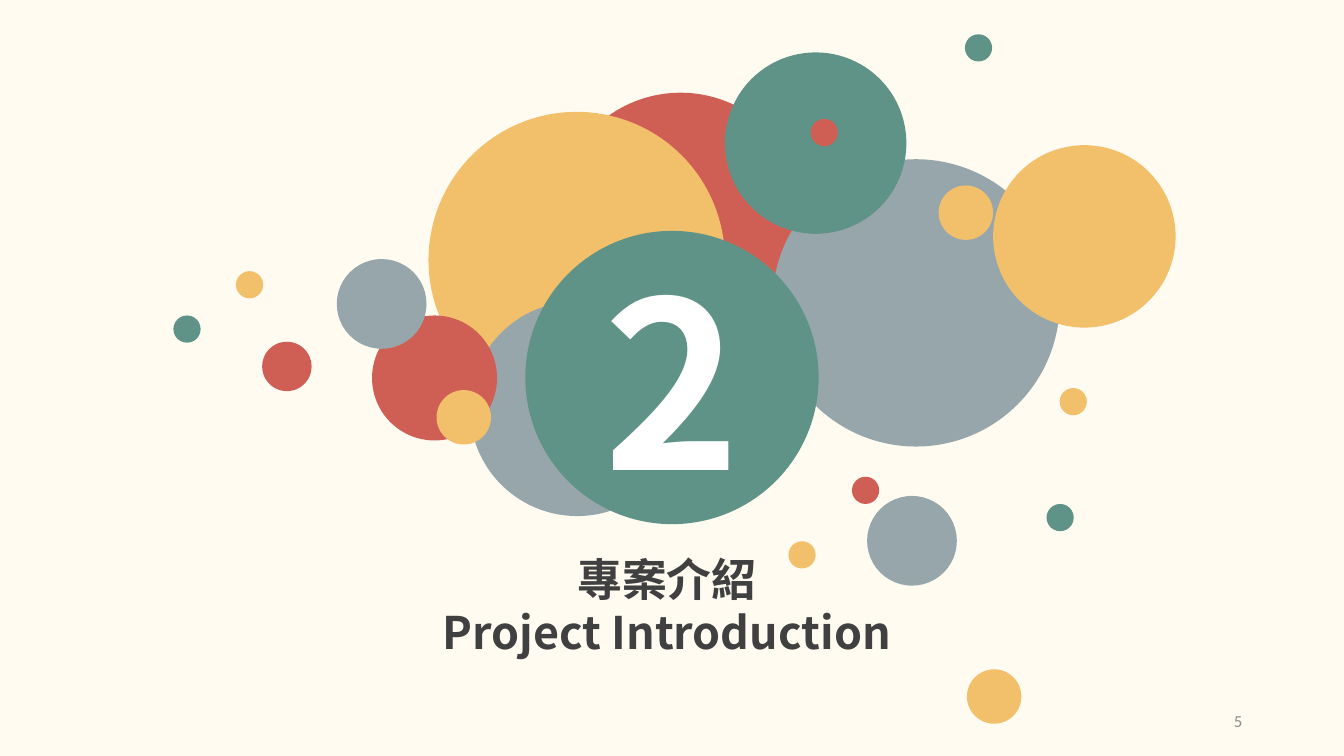
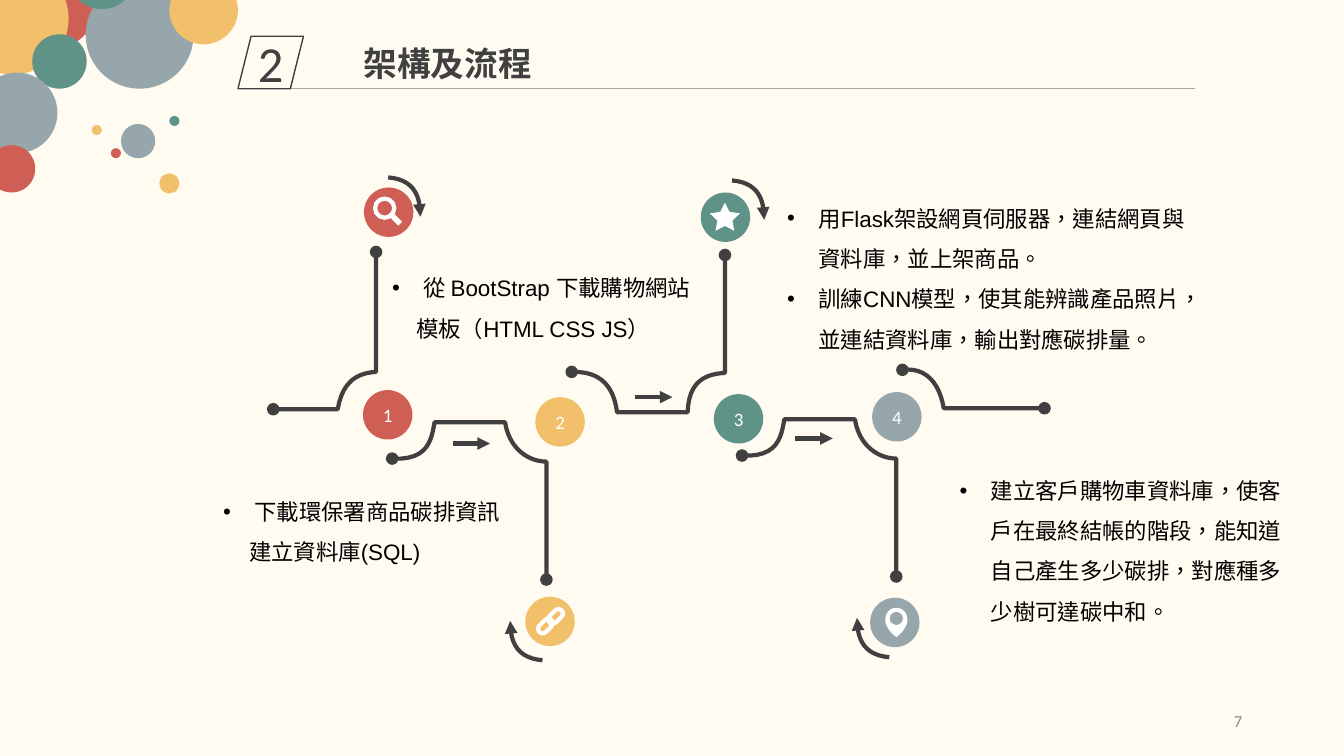
from dataclasses import dataclass

from lxml.etree import SubElement
from pptx import Presentation
from pptx.dml.color import RGBColor
from pptx.enum.shapes import MSO_CONNECTOR as Connector, MSO_SHAPE as Shape
from pptx.enum.text import MSO_ANCHOR as Anchor, PP_ALIGN as Align
from pptx.oxml.ns import qn
from pptx.util import Inches, Pt


@dataclass(frozen=True)
class Theme:
    cream: str = "FFFBF0"
    red: str = "CF5F55"
    yellow: str = "F2C06B"
    slate: str = "97A6AB"
    green: str = "5F9387"
    ink: str = "404040"
    rule: str = "A6A6A6"
    page: str = "8C8C8C"
    white: str = "FFFFFF"
    black: str = "000000"
    heading_font: str = "Noto Sans CJK SC"
    body_font: str = "Arial"
    number_font: str = "Calibri"
    chapter_size: float = 166
    cover_size: float = 32
    section_size: float = 36
    title_size: float = 24
    body_size: float = 16
    step_size: float = 13.5
    page_size: float = 12
    stroke: float = 3


T = Theme()
R, Y, S, G = T.red, T.yellow, T.slate, T.green
ICON = 0.49

# Circles: left, top, diameter, colour
COVER_CIRCLES = [
    (5.52, 0.92, 2.46, R), (4.25, 1.11, 2.94, Y), (4.66, 2.99, 2.13, S),
    (7.66, 1.58, 2.85, S), (7.19, 0.52, 1.8, G), (3.69, 3.13, 1.24, R),
    (8.6, 4.92, 0.89, S), (8.45, 4.73, 0.27, R), (7.82, 5.37, 0.27, Y),
    (10.38, 5, 0.27, G), (9.59, 6.64, 0.54, Y), (9.85, 1.44, 1.81, Y),
    (3.34, 2.57, 0.89, S), (2.6, 3.39, 0.49, R), (2.34, 2.69, 0.27, Y),
    (1.72, 3.13, 0.27, G), (4.33, 3.87, 0.54, Y), (8.04, 1.18, 0.27, R),
    (10.51, 3.85, 0.27, Y), (9.57, 0.34, 0.27, G), (9.31, 1.84, 0.54, Y),
]
CORNER_CIRCLES = [
    (0.04, -0.44, 0.93, R), (-0.43, -0.37, 1.11, Y), (0.32, 0.34, 0.54, G),
    (-0.23, 0.72, 0.8, S), (0.85, -0.19, 1.07, S), (0.67, -0.59, 0.68, G),
    (-0.12, 1.44, 0.47, R), (1.2, 1.23, 0.34, S), (1.1, 1.47, 0.1, R),
    (0.91, 1.24, 0.1, Y), (1.68, 1.15, 0.1, G), (1.58, 1.72, 0.2, Y),
    (1.68, -0.24, 0.68, Y),
]

# Paths: pairs are line ends, sixes are Bezier segments
DROP = [(0, 0.36), (0.36, 0.38, 0.39, 0.17, 0.42, 0), (1.12, 0),
        (1.16, 0.26, 1.35, 0.39, 1.53, 0.39), (1.53, 1.56)]
ROUTES = [
    (2.71, 2.5, [(0, 1.56), (0.64, 1.56), (0.69, 1.26, 0.86, 1.2, 1.02, 1.19),
                 (1.02, 0)]),
    (3.89, 4.19, DROP),
    (5.67, 2.53, [(0, 1.16), (0.31, 1.15, 0.42, 1.33, 0.45, 1.56),
                  (1.15, 1.56), (1.16, 1.25, 1.33, 1.18, 1.52, 1.17),
                  (1.52, 0)]),
    (7.36, 4.16, DROP),
    (8.95, 3.67, [(0, 0), (0.24, -0.03, 0.37, 0.14, 0.41, 0.38),
                  (1.41, 0.38)]),
]
TURN_DOWN = [(0, 0), (0.23, 0.02, 0.32, 0.15, 0.32, 0.39)]
TURN_UP = [(0.32, 0.39), (0.09, 0.37, 0, 0.24, 0, 0)]
TURNS = [(3.85, 1.76, TURN_DOWN), (7.26, 1.79, TURN_DOWN),
         (5.06, 6.16, TURN_UP), (8.5, 6.13, TURN_UP)]
PIN = [(0.11, 0.29), (0.04, 0.24, 0, 0.17, 0, 0.12),
       (0, 0.05, 0.05, 0, 0.11, 0), (0.17, 0, 0.22, 0.05, 0.22, 0.12),
       (0.22, 0.17, 0.18, 0.24, 0.11, 0.29)]


# Formatting helpers
def colour(code):
    return RGBColor.from_string(code)


def apply(target, values):
    for key, value in values.items():
        setattr(target, key, value)


def paint(shape, fill=None, line=None, width=1):
    shape.shadow.inherit = False
    if fill:
        shape.fill.solid()
        shape.fill.fore_color.rgb = colour(fill)
    else:
        shape.fill.background()
    if line:
        shape.line.color.rgb = colour(line)
        shape.line.width = Pt(width)
    else:
        shape.line.fill.background()
    return shape


def line_ends(shape, head=None, tail=None):
    outline = shape.line._get_or_add_ln()
    for tag, kind in (("a:headEnd", head), ("a:tailEnd", tail)):
        if kind:
            SubElement(outline, qn(tag), type=kind)


def add_preset(slide, kind, x, y, w, h, **look):
    box = [Inches(v) for v in (x, y, w, h)]
    return paint(slide.shapes.add_shape(kind, *box), **look)


def add_circle(slide, x, y, size, fill=None, **look):
    return add_preset(slide, Shape.OVAL, x, y, size, size, fill=fill, **look)


def add_line(slide, start, end, ink, width, tail=None):
    points = [Inches(v) for v in (*start, *end)]
    line = slide.shapes.add_connector(Connector.STRAIGHT, *points)
    line.line.color.rgb = colour(ink)
    line.line.width = Pt(width)
    line_ends(line, tail=tail)
    SubElement(line._element.spPr, qn("a:effectLst"))


def add_path(slide, x, y, path, steps=12, **look):
    points = [path[0]]
    for segment in path[1:]:
        if len(segment) == 2:
            points.append(segment)
            continue
        curve = (points[-1], segment[:2], segment[2:4], segment[4:])
        for step in range(1, steps + 1):
            t = step / steps
            weights = ((1 - t) ** 3, 3 * t * (1 - t) ** 2,
                       3 * t * t * (1 - t), t ** 3)
            points.append(tuple(sum(k * p[axis] for k, p in zip(weights, curve))
                                for axis in (0, 1)))
    spots = [(Inches(x + px), Inches(y + py)) for px, py in points]
    builder = slide.shapes.build_freeform(*spots[0], scale=1.0)
    builder.add_line_segments(spots[1:], close=path[0] == path[-1][-2:])
    return paint(builder.convert_to_shape(), **look)


def write(shape, lines, font, size, ink, bold=False, align=Align.LEFT,
          anchor=Anchor.TOP, wrap=True, spacing=None):
    """Each line is (text, options); options are align, indent and bullet."""
    frame = shape.text_frame
    apply(frame, {"word_wrap": wrap, "vertical_anchor": anchor})
    if not wrap:
        apply(frame, dict.fromkeys(("margin_left", "margin_right",
                                    "margin_top", "margin_bottom"), 0))
    for index, (text, options) in enumerate(lines):
        paragraph = frame.add_paragraph() if index else frame.paragraphs[0]
        apply(paragraph, {"alignment": options.get("align", align),
                          "line_spacing": spacing})
        props = paragraph._p.get_or_add_pPr()
        indent = Inches(options.get("indent", 0))
        if options.get("bullet"):
            props.set("marL", str(indent))
            props.set("indent", str(-indent))
            SubElement(props, qn("a:buFont"), typeface=T.body_font)
            SubElement(props, qn("a:buChar"), char="•")
        elif indent:
            props.set("marL", str(indent))
            props.set("indent", "0")
        run = paragraph.add_run()
        run.text = text
        apply(run.font, {"name": font, "size": Pt(size), "bold": bold})
        run.font.color.rgb = colour(ink)
        run_props = run._r.get_or_add_rPr()
        run_props.set("lang", "zh-TW")
        if font == T.heading_font:
            SubElement(run_props, qn("a:ea"), typeface=font)


def add_text(slide, box, lines, *style, **options):
    label = slide.shapes.add_textbox(*[Inches(v) for v in box])
    write(label, lines, *style, **options)


def write_number(shape, number, font, size, ink, bold=False):
    write(shape, [(number, {})], font, size, ink, bold, Align.CENTER,
          Anchor.MIDDLE, wrap=False)


# Shared slide parts
def new_slide(deck, page):
    slide = deck.slides.add_slide(deck.slide_layouts[6])
    slide.background.fill.solid()
    slide.background.fill.fore_color.rgb = colour(T.cream)
    add_text(slide, (9.42, 6.95, 3, 0.4), [(page, {})], T.number_font,
             T.page_size, T.page, align=Align.RIGHT, anchor=Anchor.MIDDLE)
    return slide


def add_circles(slide, circles):
    for circle in circles:
        add_circle(slide, *circle)


def add_title_band(slide, x, y, number, title):
    add_line(slide, (x + 0.48, y + 0.52), (x + 9.49, y + 0.52), T.rule, 0.5)
    badge = add_preset(slide, Shape.PARALLELOGRAM, x, y, 0.65, 0.52, line=T.ink)
    write_number(badge, number, T.number_font, T.section_size, T.ink)
    add_text(slide, (x + 1.15, y + 0.02, 5.13, 0.5), [(title, {})],
             T.heading_font, T.title_size, T.ink, bold=True)


# Icons, each inside its disc at x, y
def add_search(slide, x, y):
    add_circle(slide, x + 0.11, y + 0.11, 0.19, line=T.white, width=T.stroke)
    add_line(slide, (x + 0.27, y + 0.27), (x + 0.36, y + 0.36), T.white, 4)


def add_chain(slide, x, y):
    for dx, dy in ((0.115, 0.255), (0.215, 0.16)):
        loop = add_preset(slide, Shape.ROUNDED_RECTANGLE, x + dx, y + dy - 0.01,
                          0.17, 0.09, line=T.white, width=T.stroke)
        loop.adjustments[0] = 0.5
        loop.rotation = -45


def add_star(slide, x, y):
    add_preset(slide, Shape.STAR_5_POINT, x + 0.09, y + 0.1, 0.3, 0.28,
               fill=T.white).adjustments[0] = 0.25


def add_pin(slide, x, y):
    add_path(slide, x + 0.15, y + 0.1, PIN, fill=T.white)
    add_circle(slide, x + 0.195, y + 0.14, 0.13, S)


# Slide types
def add_chapter(deck, page, number, titles):
    slide = new_slide(deck, page)
    add_circles(slide, COVER_CIRCLES)
    disc = add_circle(slide, 5.21, 2.29, 2.91, G)
    write_number(disc, number, T.heading_font, T.chapter_size, T.white, True)
    add_text(slide, (3.6, 5.42, 6.03, 1.18), [(title, {}) for title in titles],
             T.heading_font, T.cover_size, T.ink, bold=True, align=Align.CENTER)


def add_flow(deck, page, number, title, steps, notes):
    slide = new_slide(deck, page)
    stroke = {"line": T.ink, "width": T.stroke}
    # Tracks and arrows
    for route in ROUTES:
        line_ends(add_path(slide, *route, **stroke), "oval", "oval")
    for turn in TURNS:
        line_ends(add_path(slide, *turn, **stroke), tail="triangle")
    for x, y in ((4.49, 4.4), (6.3, 3.94), (7.89, 4.35)):
        add_line(slide, (x, y), (x + 0.37, y), T.ink, T.stroke, "triangle")
    # Numbered steps with their icons
    for index, (fill, step_at, icon_at, add_icon) in enumerate(steps, 1):
        disc = add_circle(slide, *step_at, ICON, fill)
        write_number(disc, str(index), T.number_font, T.step_size, T.white)
        add_circle(slide, *icon_at, ICON, fill)
        add_icon(slide, *icon_at)
    for box, lines in notes:
        add_text(slide, box, lines, T.body_font, T.body_size, T.black,
                 spacing=1.5)
    add_circles(slide, CORNER_CIRCLES)
    add_title_band(slide, 2.36, 0.36, number, title)


def main():
    deck = Presentation()
    deck.slide_width, deck.slide_height = Inches(13.33), Inches(7.5)
    add_chapter(deck, "5", "2", ["專案介紹", "Project Introduction"])
    bullet = {"bullet": True, "indent": 0.31}
    steps = [
        (R, (3.6, 3.87), (3.61, 1.86), add_search),
        (Y, (5.31, 3.94), (5.21, 5.92), add_chain),
        (G, (7.08, 3.91), (6.95, 1.91), add_star),
        (S, (8.65, 3.89), (8.63, 5.93), add_pin),
    ]
    notes = [
        ((3.79, 2.54, 3.55, 0.86), [
            ("從 BootStrap 下載購物網站", bullet),
            ("模板（HTML CSS JS）", {"indent": 0.24})]),
        ((1.58, 4.76, 3.48, 0.86), [
            ("下載環保署商品碳排資訊", {**bullet, "align": Align.RIGHT}),
            ("建立資料庫(SQL)", {"align": Align.CENTER})]),
        ((7.71, 1.85, 4.33, 2.19), [
            ("用Flask架設網頁伺服器，連結網頁與資料庫，並上架商品。", bullet),
            ("訓練CNN模型，使其能辨識產品照片，並連結資料庫，輸出對應碳排量。",
             bullet)]),
        ((9.42, 4.55, 3.45, 1.67), [
            ("建立客戶購物車資料庫，使客戶在最終結帳的階段，能知道自己產生多少碳排，"
             "對應種多少樹可達碳中和。", bullet)]),
    ]
    add_flow(deck, "7", "2", "架構及流程", steps, notes)
    deck.save("out.pptx")


if __name__ == "__main__":
    main()
